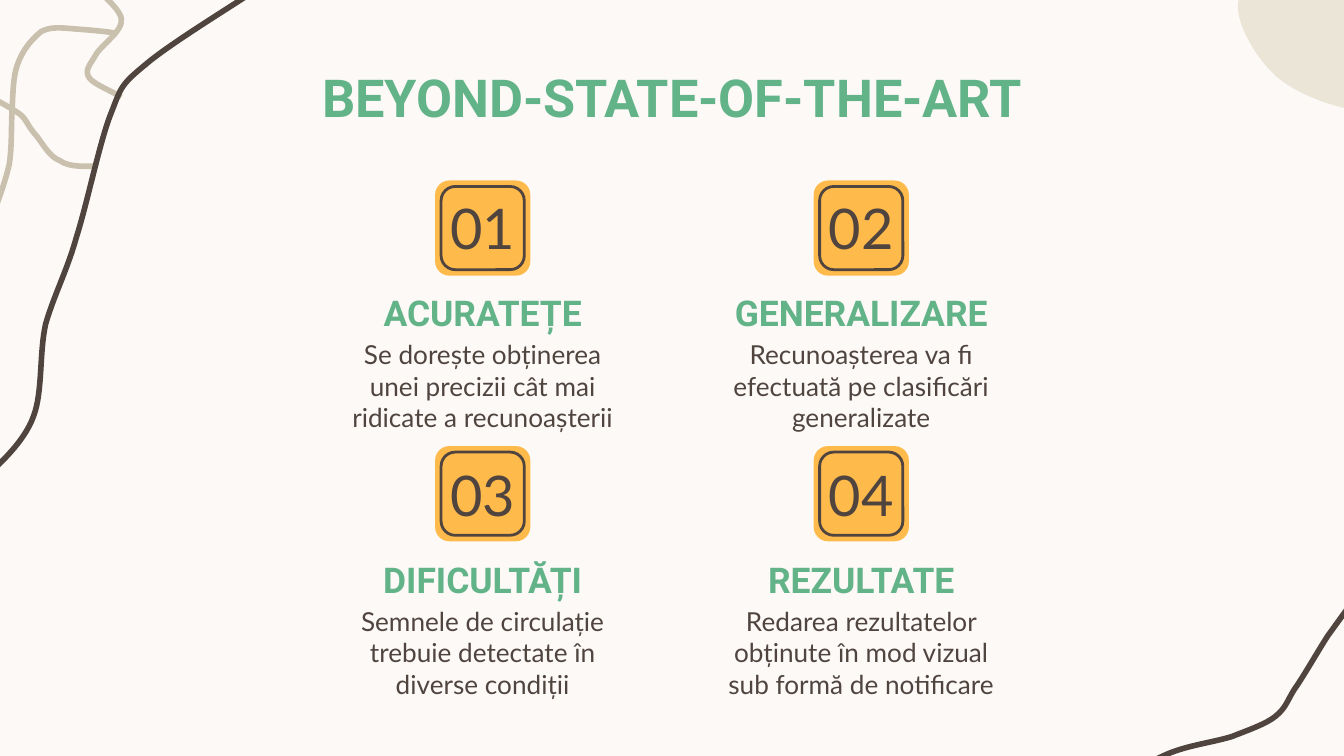
import pptx
import pptx.dml.color
import pptx.enum.shapes
import pptx.enum.text
import pptx.oxml.ns
import pptx.util

Pt = pptx.util.Pt
Anchor = pptx.enum.text.MSO_ANCHOR

COLORS = {
    "paper": "FCF9F7",
    "ink": "50443F",
    "twig": "C9C0AD",
    "sand": "EBE5D8",
    "green": "63B389",
    "amber": "FFBA4C",
}

FONTS = {
    "title": {"name": "Roboto", "size": Pt(28), "bold": True},
    "head": {"name": "Roboto", "size": Pt(19), "bold": True},
    "digit": {"name": "Lato", "size": Pt(30), "bold": False},
    "body": {"name": "Lato", "size": Pt(14), "bold": False},
}

TWIGS = [
    [(51, 89), (48, 89), (37, 90), (32, 86), (26, 84), (22, 75), (18, 71),
     (14, 66), (14, 63), (9, 60), (6, 58), (-3, 53), (-5, 52)],
    [(48, -9), (51, -6), (64, 4), (65, 10), (66, 17), (54, 24), (51, 30),
     (48, 35), (45, 38), (48, 42), (50, 45), (62, 50), (65, 52)],
    [(-4, 115), (-2, 111), (3, 97), (5, 88), (6.5, 78), (6, 68), (6.5, 59),
     (7, 50), (7, 41), (9.4, 34.6), (12, 27), (17, 21), (22, 17),
     (27, 14), (34, 15), (40, 15.5), (47, 16), (59, 17), (63, 18)],
]
LEFT = [
    (-6, 254), (-1, 249), (13, 237), (18, 223), (23, 210), (21, 189),
    (24.5, 173.5), (29, 158), (36, 145), (41, 127), (47, 108), (53, 78),
    (59, 62), (65, 47), (64, 46), (78, 34.6), (91.5, 23), (128, 1),
    (141, -8), (155, -17), (156, -18), (158, -19),
]
RIGHT = [
    (726.5, 320), (724, 323), (717, 333), (711.4, 340.6), (706, 349),
    (698, 363), (693.4, 369.4), (689, 376.6), (689, 379), (683.3, 383.8),
    (678, 388), (669, 391), (660, 394.6), (651, 397.4), (639, 399),
    (629.3, 402.5), (619, 406), (609, 413), (605, 415.4),
]
BLOB = [
    (743.4, -51.5), (744.8, -51.4), (745.6, -52), (747, -52),
    (796.4, -49), (807.4, -8), (789.7, 27.8),
    (780, 48.5), (743.3, 69), (717.8, 68.9),
    (717.8, 68.9), (717.8, 68.9), (717, 68.7),
    (705.8, 68.9), (680.7, 61.7), (676.4, 50.8),
    (668.9, 33.4), (687.8, 26), (694.4, 10.8),
    (704.7, -19.8), (705.8, -51.6), (743.4, -51.5),
]

ITEMS = [
    ("01", "ACURATEȚE",
     "Se dorește obținerea unei precizii cât mai ridicate a recunoașterii"),
    ("02", "GENERALIZARE",
     "Recunoașterea va fi efectuată pe clasificări generalizate"),
    ("03", "DIFICULTĂȚI",
     "Semnele de circulație trebuie detectate în diverse condiții"),
    ("04", "REZULTATE",
     "Redarea rezultatelor obținute în mod vizual sub formă de notificare"),
]


def tint(name):
    return pptx.dml.color.RGBColor.from_string(COLORS[name])


class Page:
    def __init__(self, deck):
        self.slide = deck.slides.add_slide(deck.slide_layouts[6])
        self.shapes = self.slide.shapes
        back = self.slide.background.fill
        back.solid()
        back.fore_color.rgb = tint("paper")

    def paint(self, shape, fill=None, line=None, width=3):
        shape.shadow.inherit = False
        for part, color in ((shape.fill, fill), (shape.line.fill, line)):
            if color:
                part.solid()
                part.fore_color.rgb = tint(color)
            else:
                part.background()
        if line:
            shape.line.width = Pt(width)

    def curve(self, dots, close=False, turn=0, **look):
        start, *rest = [(Pt(x), Pt(y)) for x, y in dots]
        pen = self.shapes.build_freeform(*start)
        pen.add_line_segments(rest, close=close)
        shape = pen.convert_to_shape()
        name = pptx.oxml.ns.qn
        legs = list(shape._element.iter(name("a:lnTo")))
        for first, *more in zip(legs[::3], legs[1::3], legs[2::3]):
            first.tag = name("a:cubicBezTo")
            for leg in more:
                first.append(leg[0])
                leg.getparent().remove(leg)
        shape.rotation = turn
        self.paint(shape, **look)

    def square(self, x, y, side, bend, **look):
        kind = pptx.enum.shapes.MSO_SHAPE.ROUNDED_RECTANGLE
        shape = self.shapes.add_shape(
            kind, Pt(x - side / 2), Pt(y - side / 2), Pt(side), Pt(side))
        shape.adjustments[0] = bend
        self.paint(shape, **look)

    def text(self, words, x, top, width, height, font, color, anchor):
        box = self.shapes.add_textbox(
            Pt(x - width / 2), Pt(top), Pt(width), Pt(height))
        frame = box.text_frame
        sides = ("left", "top", "right", "bottom")
        form = {f"margin_{side}": Pt(7.2) for side in sides}
        form.update(word_wrap=True, vertical_anchor=anchor)
        for key, value in form.items():
            setattr(frame, key, value)
        para = frame.paragraphs[0]
        para.alignment = pptx.enum.text.PP_ALIGN.CENTER
        run = para.add_run()
        run.text = words
        for key, value in FONTS[font].items():
            setattr(run.font, key, value)
        run.font.color.rgb = tint(color)

    def tile(self, x, y):
        self.square(x, y, 51, 0.15, fill="amber")
        self.square(x, y, 44.6, 0.17, line="ink", width=1.5)

    def item(self, x, y, digit, head, body):
        self.text(digit, x, y - 22.4, 65, 42, "digit", "ink", Anchor.MIDDLE)
        self.text(head, x, y + 21, 181.4, 42, "head", "green", Anchor.BOTTOM)
        self.text(body, x, y + 51.2, 167, 59, "body", "ink", Anchor.TOP)


def main():
    deck = pptx.Presentation()
    deck.slide_width, deck.slide_height = Pt(720), Pt(405)
    page = Page(deck)
    for twig in TWIGS:
        page.curve(twig, line="twig")
    page.curve(LEFT, line="ink")
    page.curve(BLOB, close=True, turn=41.6, fill="sand")
    page.curve(RIGHT, line="ink")
    cells = [(258.6 + 202.8 * col, row) for row in (0, 1) for col in (0, 1)]
    for x, row in reversed(cells):
        page.tile(x, 122.2 + 142.3 * row)
    page.text("BEYOND-STATE-OF-THE-ART", 360, 29.2, 600, 45.4,
              "title", "green", Anchor.MIDDLE)
    for (x, row), item in zip(cells, ITEMS):
        page.item(x, 123 + 142.9 * row, *item)
    deck.save("out.pptx")


if __name__ == "__main__":
    main()
